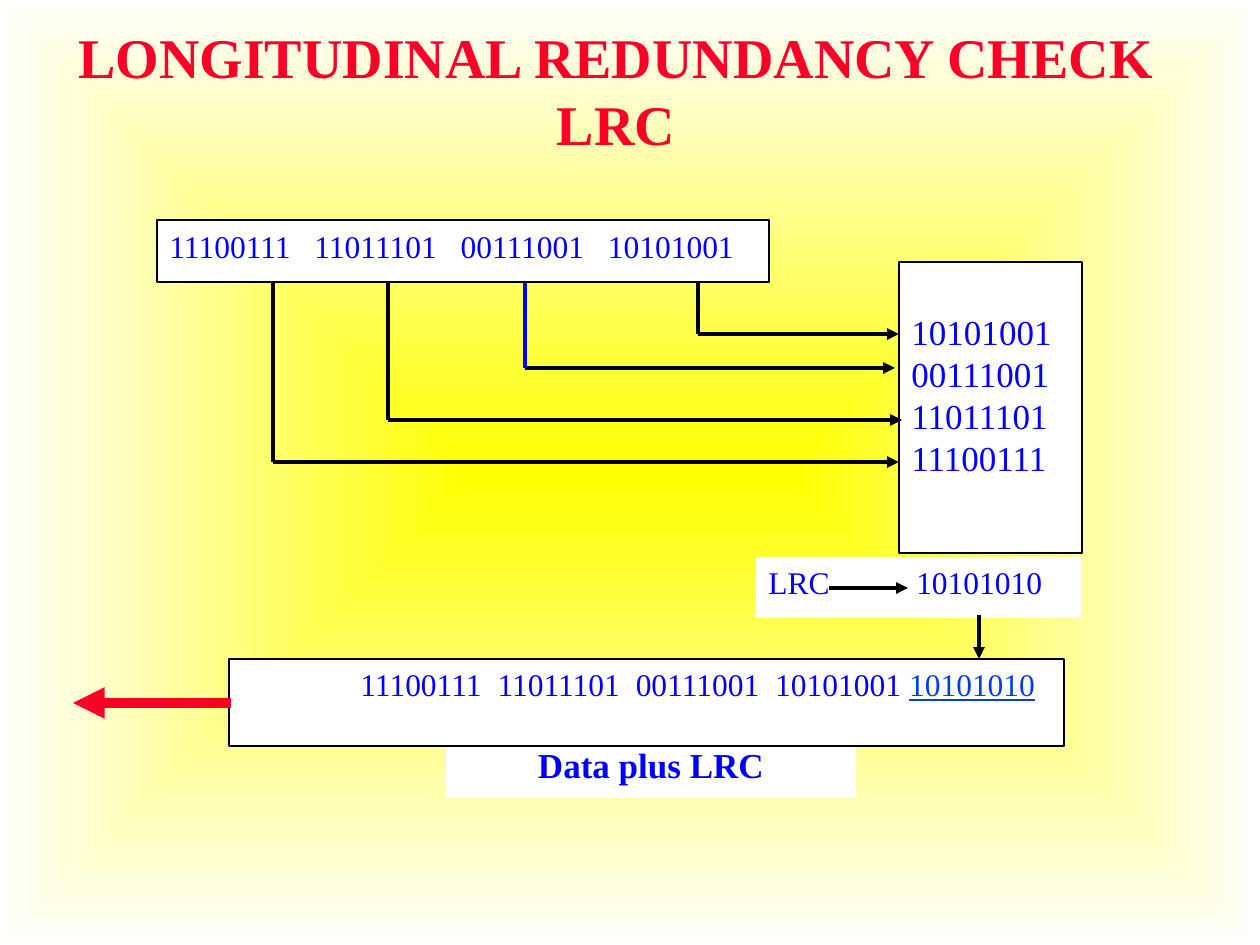
from lxml.etree import SubElement
from pptx import Presentation
from pptx.dml.color import RGBColor
from pptx.enum.shapes import MSO_CONNECTOR, MSO_SHAPE
from pptx.enum.text import MSO_ANCHOR as ANCHOR, MSO_AUTO_SIZE as AUTO_SIZE, PP_ALIGN as ALIGN
from pptx.oxml.ns import qn
from pptx.util import Pt

PX_PER_INCH = 126
FONT = "Times New Roman"
RED = RGBColor(0xFC, 0x01, 0x28)
BLUE = RGBColor(0x00, 0x00, 0xFF)
CHECK_BLUE = RGBColor(0x06, 0x3D, 0xE8)
BLACK = RGBColor(0, 0, 0)
WHITE = RGBColor(0xFF, 0xFF, 0xFF)
YELLOW = RGBColor(0xFF, 0xFF, 0x00)

DATA = ["11100111", "11011101", "00111001", "10101001"]
LRC = "10101010"


def px(length):
    return round(length * 914400 / PX_PER_INCH)


def paint_background(slide):
    fill = slide.background.fill
    fill.gradient()
    for stop, color, position in zip(fill.gradient_stops, (YELLOW, WHITE), (0, 1)):
        stop.color.rgb = color
        stop.position = position
    gradient = slide.background._cSld.find(".//" + qn("a:gradFill"))
    gradient.remove(gradient.find(qn("a:lin")))
    center = SubElement(gradient, qn("a:path"), path="rect")
    SubElement(center, qn("a:fillToRect"), l="50000", t="50000", r="50000", b="50000")


def add_run(paragraph, text):
    run = paragraph.add_run()
    run.text = text
    return run


def add_words(paragraph, words, extra_gap):
    add_run(paragraph, words[0])
    for word in words[1:]:
        gap = add_run(paragraph, " ")
        gap.font._element.set("spc", str(round(extra_gap * 100)))
        add_run(paragraph, word)


def write(frame, lines, size, color, align=ALIGN.LEFT, bold=False, indent=0, extra_gap=0):
    for number, words in enumerate(lines):
        paragraph = frame.add_paragraph() if number else frame.paragraphs[0]
        paragraph.alignment = align
        properties = paragraph._p.get_or_add_pPr()
        properties.set("marL", str(px(indent)))
        properties.set("indent", "0")
        font = paragraph.font
        font.name, font.size, font.bold = FONT, Pt(size), bold
        font.color.rgb = color
        add_words(paragraph, words, extra_gap)


def add_title(slide, lines):
    title = slide.shapes.title
    title.left, title.top, title.width, title.height = map(px, (63, 16, 1106, 146))
    frame = title.text_frame
    frame.word_wrap = False
    frame.auto_size = AUTO_SIZE.NONE
    frame.vertical_anchor = ANCHOR.TOP
    write(frame, lines, 32, RED, ALIGN.CENTER, bold=True)


def add_box(slide, bounds, lines, size=18, outlined=True, top_inset=6, **style):
    box = slide.shapes.add_shape(MSO_SHAPE.RECTANGLE, *map(px, bounds))
    box.shadow.inherit = False
    box.fill.solid()
    box.fill.fore_color.rgb = WHITE
    if outlined:
        box.line.color.rgb = BLACK
        box.line.width = Pt(0.75)
    else:
        box.line.fill.background()
    frame = box.text_frame
    frame.word_wrap = True
    frame.vertical_anchor = ANCHOR.TOP
    frame.margin_top = px(top_inset)
    write(frame, lines, size, BLUE, **style)
    return box


def add_line(slide, start, end, color=BLACK, width=2.25, arrow=False):
    line = slide.shapes.add_connector(MSO_CONNECTOR.STRAIGHT, *map(px, start + end))
    line.line.color.rgb = color
    line.line.width = Pt(width)
    if arrow:
        SubElement(line.line._ln, qn("a:tailEnd"), type="triangle")
    SubElement(line._element.spPr, qn("a:effectLst"))


def main():
    deck = Presentation()
    deck.slide_width, deck.slide_height = px(1260), px(945)
    slide = deck.slides.add_slide(deck.slide_layouts[5])
    paint_background(slide)
    add_title(slide, [["LONGITUDINAL REDUNDANCY CHECK"], ["LRC"]])

    add_box(slide, (756, 557, 325, 61), [["LRC", LRC]], outlined=False, extra_gap=45)
    add_box(slide, (446, 737, 410, 61), [["Data plus LRC"]], 20, outlined=False,
            top_inset=7, align=ALIGN.CENTER, bold=True)
    add_box(slide, (157, 220, 612, 62), [DATA], top_inset=7, extra_gap=9)
    add_box(slide, (899, 262, 183, 291), [[word] for word in reversed(DATA)], 20,
            top_inset=48)

    routes = [
        (698, 282, 334, 899, BLACK),
        (525, 283, 368, 895, BLUE),
        (388, 283, 420, 902, BLACK),
        (273, 282, 462, 899, BLACK),
    ]
    for x, top, turn, end, drop_color in routes:
        add_line(slide, (x, turn), (end, turn), arrow=True)
        add_line(slide, (x, top), (x, turn), drop_color)
    add_line(slide, (829, 588), (908, 588), arrow=True)

    sent = add_box(slide, (229, 659, 835, 87), [DATA], indent=119, extra_gap=4.5)
    sent_line = sent.text_frame.paragraphs[0]
    add_run(sent_line, " ")
    check = add_run(sent_line, LRC)
    check.font.underline = True
    check.font.color.rgb = CHECK_BLUE

    add_line(slide, (979, 615), (979, 659), arrow=True)
    add_line(slide, (231, 703), (73, 703), RED, 6, arrow=True)
    deck.save("out.pptx")


if __name__ == "__main__":
    main()
